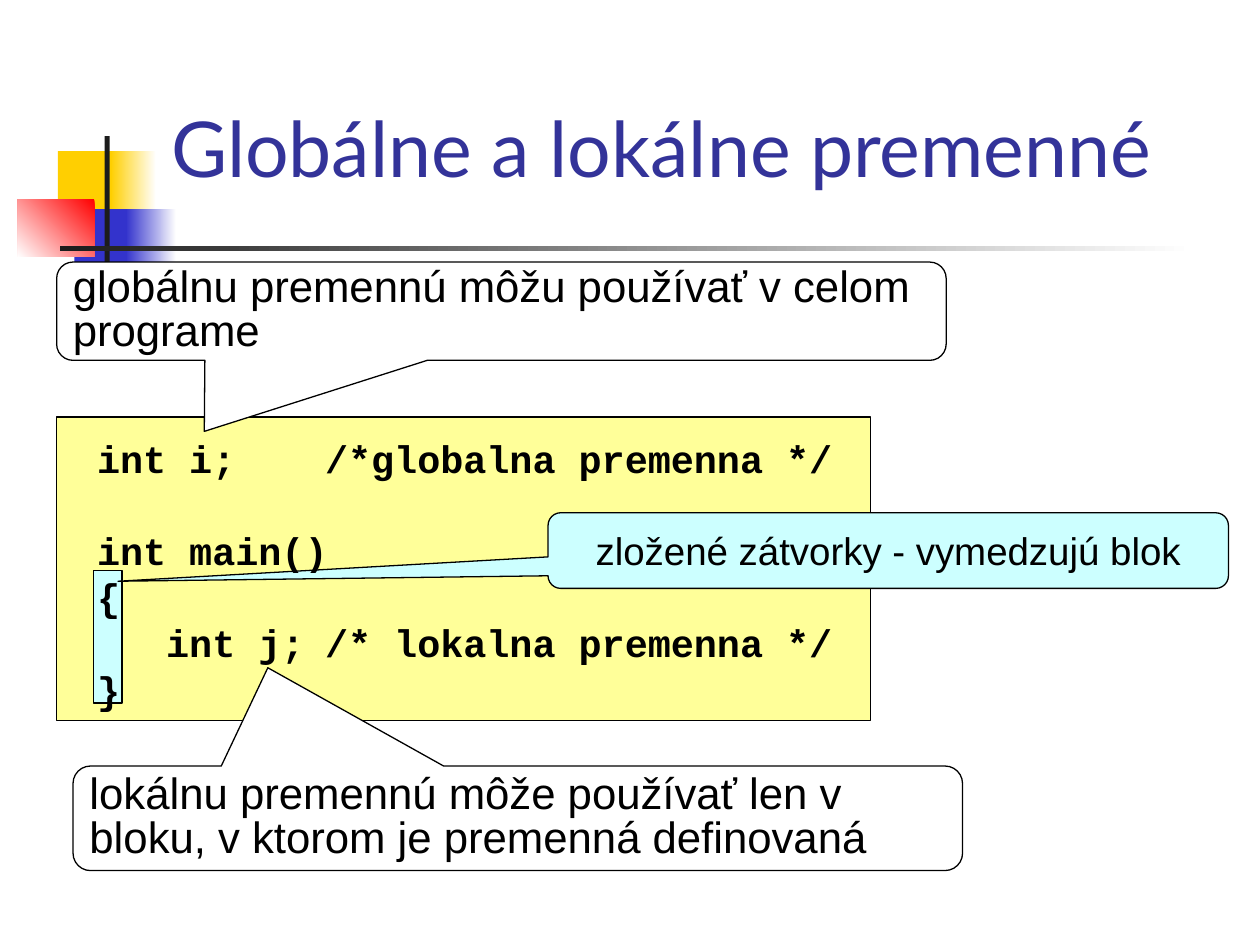
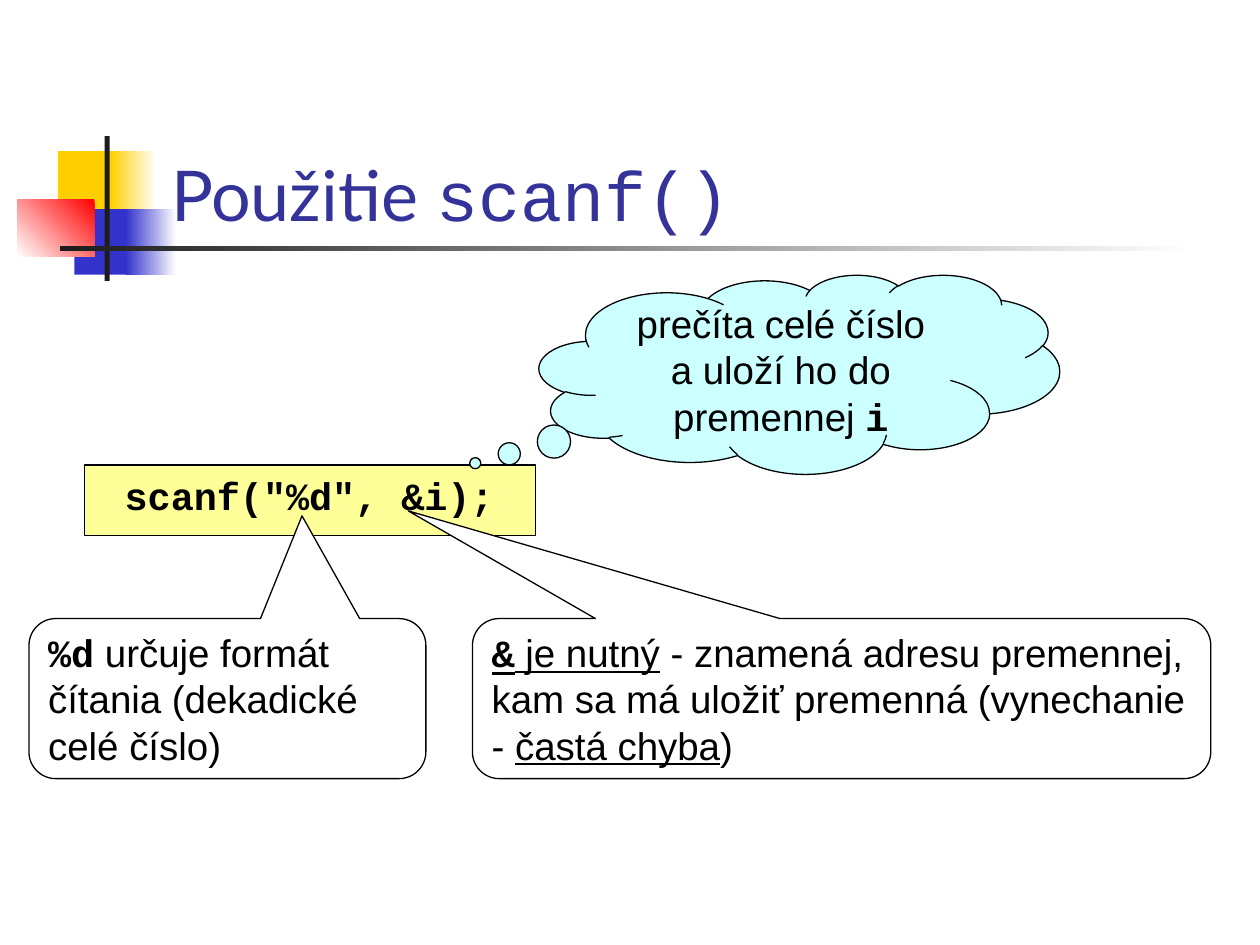
from lxml.etree import SubElement
from pptx import Presentation
from pptx.dml.color import RGBColor
from pptx.enum.shapes import MSO_SHAPE
from pptx.enum.text import MSO_ANCHOR, PP_ALIGN
from pptx.oxml.ns import qn
from pptx.util import Inches, Pt

HUES = {
    "white": "FFFFFF", "black": "000000", "dark": "1C1C1C",
    "gold": "FFCF01", "blue": "3333CC", "red": "FF0000",
    "title": "333399", "code": "FFFF99", "cyan": "CCFFFF",
}
SANS, MONO, HEAD = "Arial", "Courier New", "Lato"
BOLD = {"font": MONO, "bold": True}
TAB = 1.81
LEAD = 1.2  # line height as a multiple of the text size
TIGHT = {"size": 25, "lead": 1}  # two large lines inside a low callout


def hue(name):
    return RGBColor.from_string(HUES[name])


def draw(slide, kind, box, fill, line=None, adj=()):
    """Add a preset shape; a tuple as fill makes a gradient (from, to, angle)."""
    shape = slide.shapes.add_shape(kind, *map(Inches, box))
    shape.shadow.inherit = False
    if isinstance(fill, tuple):
        *ends, angle = fill
        shape.fill.gradient()
        shape.fill.gradient_angle = angle
        for stop, name in zip(shape.fill.gradient_stops, ends):
            stop.color.rgb = hue(name)
    else:
        shape.fill.solid()
        shape.fill.fore_color.rgb = hue(fill)
    if line:
        shape.line.color.rgb = hue(line)
        shape.line.width = Pt(0.75)
    else:
        shape.line.fill.background()
    for i, value in enumerate(adj):
        shape.adjustments[i] = value
    return shape


def write(shape, paras, size=22, font=SANS, color="black", bold=False,
          align=PP_ALIGN.LEFT, anchor=MSO_ANCHOR.MIDDLE, inset=0.09,
          lead=LEAD, tab=None, gaps=()):
    """Fill a shape with paragraphs, each a list of (text, changes) runs."""
    frame = shape.text_frame
    frame.word_wrap = True
    frame.vertical_anchor = anchor
    frame.margin_left = frame.margin_right = Inches(inset)
    frame.margin_top = frame.margin_bottom = Inches(0.05)
    for i, runs in enumerate(paras):
        para = frame.add_paragraph() if i else frame.paragraphs[0]
        para.alignment = align
        if lead:
            para.line_spacing = Pt(size * lead)
        if i in gaps:
            para.space_before = Pt(size * LEAD)
        if tab:
            props = para._p.get_or_add_pPr()
            stops = SubElement(props, qn("a:tabLst"))
            SubElement(stops, qn("a:tab"), pos=str(Inches(tab)), algn="l")
        for text, change in runs:
            look = {"font": font, "bold": bold, "under": None, **change}
            run = para.add_run()
            run.text = text
            run.font.name = look["font"]
            run.font.size = Pt(size)
            run.font.bold = look["bold"]
            run.font.underline = look["under"]
            run.font.color.rgb = hue(color)


def label(slide, box, paras, **form):
    write(slide.shapes.add_textbox(*map(Inches, box)), paras, **form)


def motif(slide, x, y):
    """Coloured squares with the crossing bars."""
    parts = [
        (0.32, 0.12, 0.48, 0.52, "gold"),
        (0.74, 0.12, 0.36, 0.52, ("white", "gold", 180)),
        (0.45, 0.58, 0.46, 0.52, "blue"),
        (0.86, 0.58, 0.4, 0.52, ("white", "blue", 180)),
        (0, 0.5, 0.61, 0.46, ("red", "white", 225)),
        (0.69, 0, 0.04, 1.15, "dark"),
        (0.34, 0.87, 9, 0.04, ("white", "dark", 180)),
    ]
    for dx, dy, w, h, fill in parts:
        draw(slide, MSO_SHAPE.RECTANGLE, (x + dx, y + dy, w, h), fill)


def start(deck, runs, size, high):
    """New slide with the motif and its title."""
    slide = deck.slides.add_slide(deck.slide_layouts[6])
    motif(slide, 0.14, 1.08)
    label(slide, (1.26, 0.67, 8.52, high), [runs], size=size, font=HEAD,
          color="title", anchor=MSO_ANCHOR.BOTTOM, inset=0.1, lead=None)
    return slide


def panel(slide, box):
    draw(slide, MSO_SHAPE.RECTANGLE, box, "code", "black")


def code(slide, box, lines, **form):
    label(slide, box, [[(line, {})] for line in lines], font=MONO, bold=True,
          anchor=MSO_ANCHOR.TOP, **form)


def bubble(slide, box, tip, runs, fill="white", cloud=False, **form):
    """Callout whose tip is given as shares of its size from its centre."""
    if cloud:
        kind, adj = MSO_SHAPE.CLOUD_CALLOUT, tip
    else:
        kind, adj = MSO_SHAPE.ROUNDED_RECTANGULAR_CALLOUT, (*tip, 0.167)
    write(draw(slide, kind, box, fill, "black", adj), [runs], **form)


def scope(deck):
    slide = start(deck, [("Globálne a lokálne premenné", {})], 44, 0.91)

    # Code with its marked block
    x, y = 0.45, 3.31
    panel(slide, (x, y, 6.46, 2.41))
    draw(slide, MSO_SHAPE.RECTANGLE, (x + 0.29, y + 1.22, 0.23, 1.05),
         "cyan", "black")
    bubble(slide, (x + 3.9, y + 0.76, 5.4, 0.6), (-1.132, 0.406),
           [("zložené zátvorky - vymedzujú blok", {})], "cyan",
           align=PP_ALIGN.CENTER)
    code(slide, (x + 0.23, y + 0.09, 6.08, 2.29),
         ["int i;\t/*globalna premenna */", "int main()", "{",
          "   int j;\t/* lokalna premenna */", "}"], tab=TAB, gaps=(1,))

    # Remarks above and below
    bubble(slide, (0.45, 2.08, 7.06, 0.78), (-0.334, 1.223),
           [("globálnu premennú môžu používať v celom programe", {})], **TIGHT)
    bubble(slide, (0.58, 6.08, 7.06, 0.83), (-0.281, -1.44),
           [("lokálnu premennú môže používať len v bloku, "
             "v ktorom je premenná definovaná", {})], **TIGHT)


def scan(deck):
    slide = start(deck, [("Použitie ", {}), ("scanf()", {"font": MONO})],
                  40, 1.25)

    # Code line
    x, y = 0.67, 3.69
    panel(slide, (x, y, 3.58, 0.56))
    code(slide, (x + 0.23, y + 0.01, 3.23, 0.46), ['scanf("%d", &i);'])

    # Remarks
    bubble(slide, (4.28, 2.18, 4.13, 1.58), (-0.623, 0.447),
           [("prečíta celé číslo a uloží ho do premennej ", {}), ("i", BOLD)],
           "cyan", cloud=True, align=PP_ALIGN.CENTER)
    top, high = 4.91, 1.27
    bubble(slide, (0.23, top, 3.15, high), (0.188, -1.142),
           [("%d", BOLD), (" určuje formát čítania (dekadické celé číslo)", {})])
    under = {"under": True}
    bubble(slide, (3.75, top, 5.86, high), (-0.587, -1.173),
           [("&", {**BOLD, **under}), (" je nutný", under),
            (" - znamená adresu premennej, kam sa má uložiť premenná "
             "(vynechanie - ", {}),
            ("častá chyba", under), (")", {})])


def main():
    deck = Presentation()
    deck.slide_width, deck.slide_height = Inches(10), Inches(7.5)
    scope(deck)
    scan(deck)
    deck.save("out.pptx")


if __name__ == "__main__":
    main()
